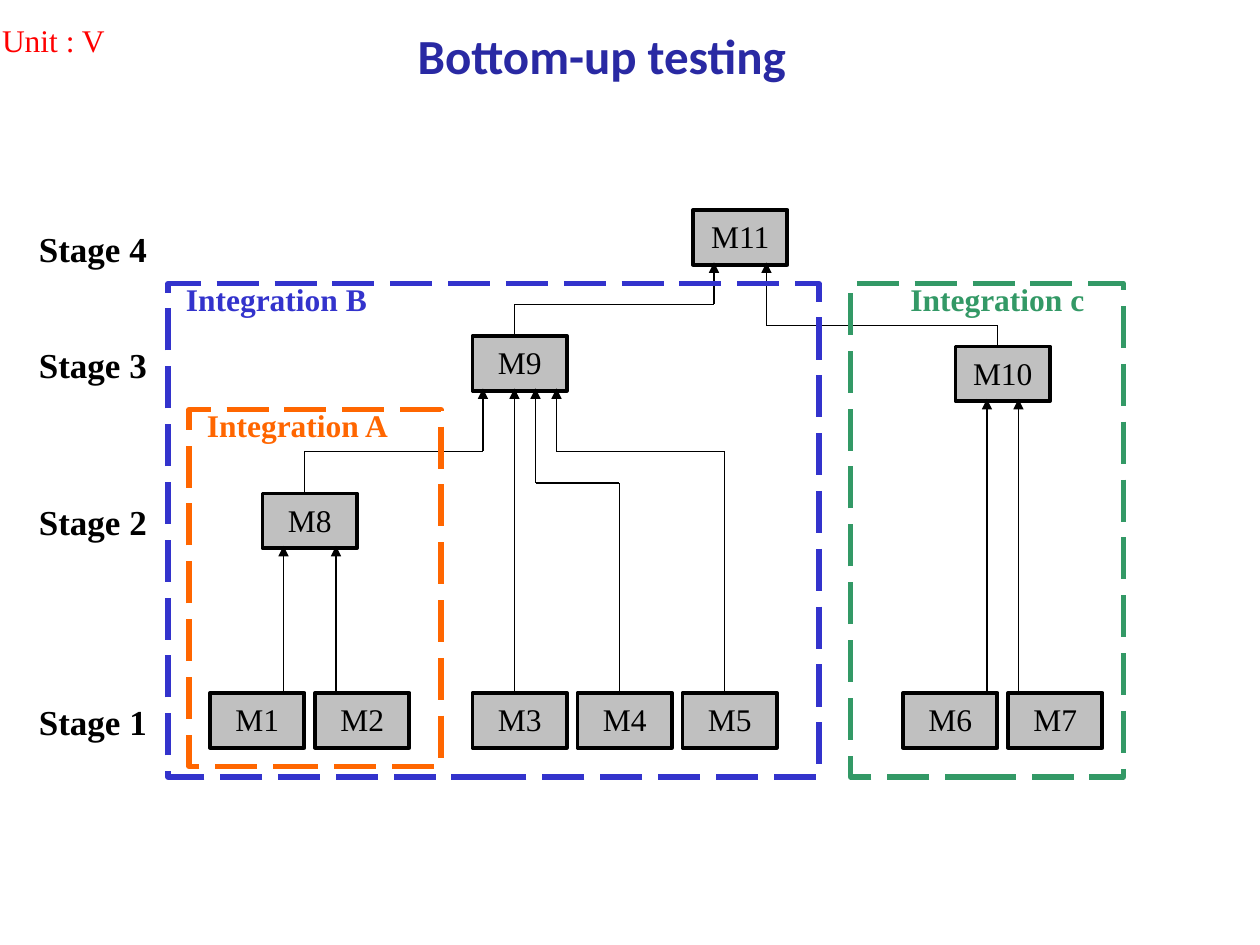
import pptx
import pptx.util
import pptx.dml.color
import pptx.enum.dml
import pptx.enum.shapes
import pptx.enum.text
import pptx.oxml
import pptx.oxml.ns

# Content: module -> (left, top) in px
MODULES = {
    "M1": (200, 660), "M2": (300, 660), "M3": (450, 660), "M4": (550, 660),
    "M5": (650, 660), "M6": (860, 660), "M7": (960, 660), "M8": (250, 470),
    "M9": (450, 320), "M10": (910, 330), "M11": (660, 200),
}
# Calls: source, start x, target, end x, y of the bend (None when straight)
CALLS = [
    ("M1", 270, "M8", 270, None),
    ("M2", 320, "M8", 320, None),
    ("M3", 490, "M9", 490, None),
    ("M4", 590, "M9", 510, 460),
    ("M5", 690, "M9", 530, 430),
    ("M8", 290, "M9", 460, 430),
    ("M6", 940, "M10", 940, None),
    ("M7", 970, "M10", 970, None),
    ("M9", 490, "M11", 680, 290),
    ("M10", 950, "M11", 730, 310),
]
# Integrations: label, colour name, frame (left, top, width, height), label left
INTEGRATIONS = [
    ("Integration A", "orange", (180, 390, 240, 340), 190),
    ("Integration B", "blue", (160, 270, 620, 470), 170),
    ("Integration c", "green", (810, 270, 260, 470), 860),
]
STAGES = [("Stage 1", 660), ("Stage 2", 470), ("Stage 3", 320), ("Stage 4", 210)]

THEME = {
    "black": "000000", "grey": "C0C0C0", "red": "FF0000", "title": "2929A3",
    "orange": "FF6600", "blue": "3333CC", "green": "339966",
    "serif": "Times New Roman", "sans": "Calibri",
    "title_size": 28, "stage_size": 20, "text_size": 18,
    "thin": 0.75, "border": 2.25, "frame": 3,
}
MODULE_WIDTH, MODULE_HEIGHT = 90, 52
ARROW_DROP = 50  # arrow tips sit this far below the top of the target
ANCHOR = pptx.enum.text.MSO_ANCHOR
ALIGN = pptx.enum.text.PP_ALIGN


def px(value):
    return pptx.util.Emu(value * 7620)  # 120 px to the inch


def colour(name):
    return pptx.dml.color.RGBColor.from_string(THEME[name])


def write(box, text, size="text_size", font="serif", ink="black", bold=False,
          align=ALIGN.LEFT, anchor=ANCHOR.TOP, inset=(7, 7, 7, 7), before=0):
    frame = box.text_frame
    frame.auto_size = pptx.enum.text.MSO_AUTO_SIZE.NONE
    frame.word_wrap = True
    frame.vertical_anchor = anchor
    (frame.margin_left, frame.margin_top,
     frame.margin_right, frame.margin_bottom) = map(px, inset)
    para = frame.paragraphs[0]
    para.alignment = align
    para.space_before = pptx.util.Pt(before)
    span = para.add_run()
    span.text = text
    span.font.name = THEME[font]
    span.font.size = pptx.util.Pt(THEME[size])
    span.font.bold = bold
    span.font.color.rgb = colour(ink)


def add_label(page, place, text, **style):
    write(page.shapes.add_textbox(*map(px, place)), text, **style)


def add_rectangle(page, place, line, width, fill=None):
    box = page.shapes.add_shape(
        pptx.enum.shapes.MSO_SHAPE.RECTANGLE, *map(px, place))
    box.shadow.inherit = False
    if fill:
        box.fill.solid()
        box.fill.fore_color.rgb = colour(fill)
    else:
        box.fill.background()
    box.line.color.rgb = colour(line)
    box.line.width = pptx.util.Pt(THEME[width])
    return box


def add_line(page, start, end, arrow):
    line = page.shapes.add_connector(
        pptx.enum.shapes.MSO_CONNECTOR.STRAIGHT, *map(px, start + end))
    line.line.color.rgb = colour("black")
    line.line.width = pptx.util.Pt(THEME["thin"])
    if arrow:
        tail = pptx.oxml.parse_xml(
            f'<a:tailEnd {pptx.oxml.ns.nsdecls("a")} type="triangle"/>')
        line.line._get_or_add_ln().append(tail)
    line._element.spPr.append(
        pptx.oxml.parse_xml(f'<a:effectLst {pptx.oxml.ns.nsdecls("a")}/>'))


def main():
    deck = pptx.Presentation()
    deck.slide_width, deck.slide_height = px(1200), px(900)
    page = deck.slides.add_slide(deck.slide_layouts[5])

    # Title and unit
    title = page.shapes.title
    title.left, title.top, title.width, title.height = map(px, (340, 24, 466, 56))
    write(title, "Bottom-up testing", size="title_size", font="sans", ink="title",
          bold=True, align=ALIGN.CENTER, anchor=ANCHOR.MIDDLE, inset=(0, 0, 0, 0))
    add_label(page, (2, 7, 187, 49), "Unit : V", ink="red",
              anchor=ANCHOR.BOTTOM, inset=(0, 6, 0, 0))

    # Modules
    for name, (left, top) in MODULES.items():
        box = add_rectangle(page, (left, top, MODULE_WIDTH, MODULE_HEIGHT),
                            "black", "border", fill="grey")
        write(box, name, align=ALIGN.CENTER, before=10)

    # Calls, each up from its source and, if bent, across before the target
    for source, start_x, target, end_x, bend in CALLS:
        points = [(start_x, MODULES[source][1])]
        if bend is not None:
            points += [(start_x, bend), (end_x, bend)]
        points.append((end_x, MODULES[target][1] + ARROW_DROP))
        for start, end in zip(points, points[1:]):
            add_line(page, start, end, arrow=end == points[-1])

    # Integration frames, each label starting just above its frame
    for name, ink, place, label_left in INTEGRATIONS:
        frame = add_rectangle(page, place, ink, "frame")
        frame.line.dash_style = pptx.enum.dml.MSO_LINE.LONG_DASH
        add_label(page, (label_left, place[1] - 10, 210, 48), name,
                  ink=ink, bold=True, before=10)

    # Stages
    for name, top in STAGES:
        add_label(page, (30, top, 130, MODULE_HEIGHT), name,
                  size="stage_size", bold=True, before=12)

    deck.save("out.pptx")


if __name__ == "__main__":
    main()
